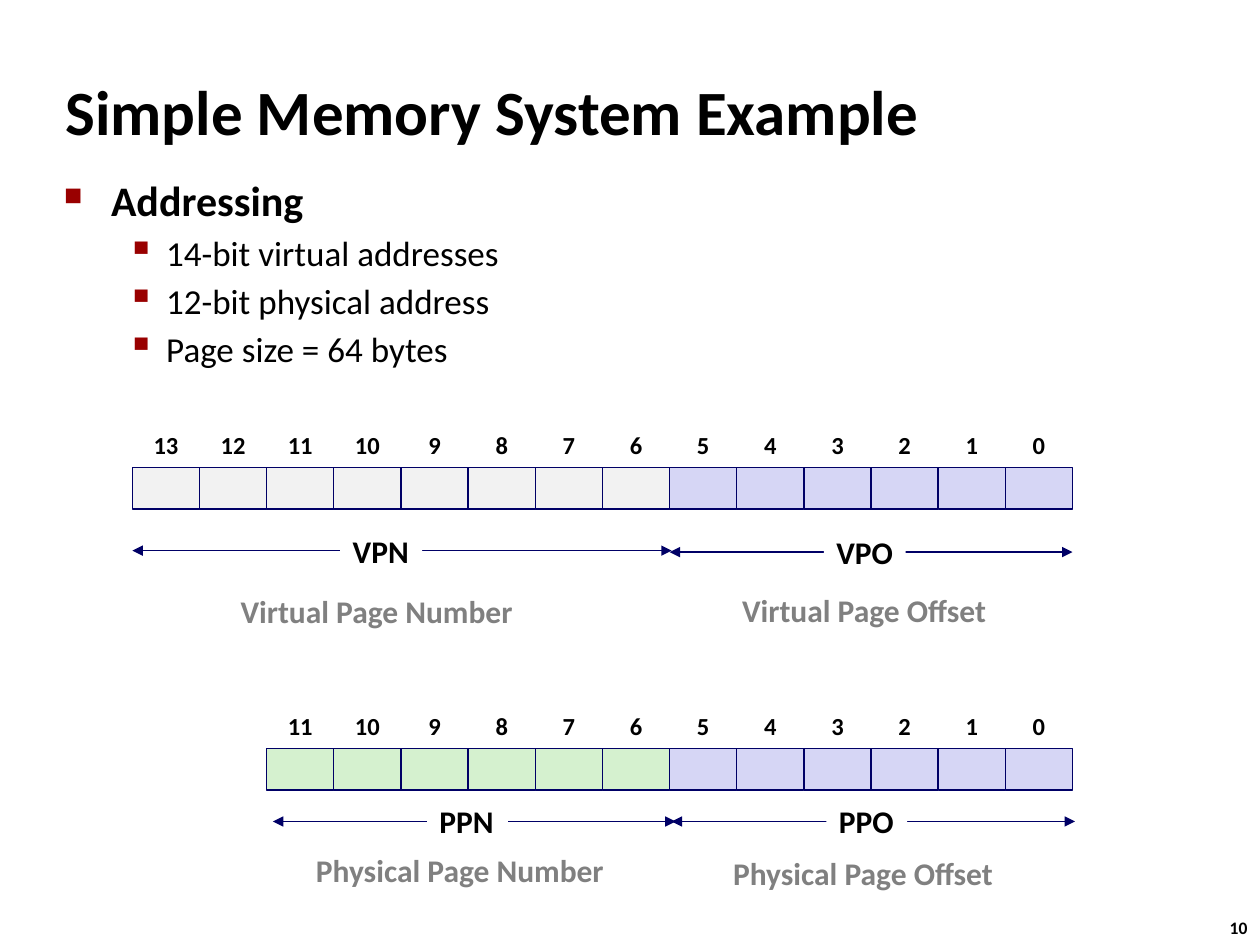
from dataclasses import dataclass

from lxml.etree import SubElement
from pptx import Presentation
from pptx.dml.color import RGBColor
from pptx.enum.shapes import MSO_CONNECTOR, MSO_SHAPE
from pptx.enum.text import MSO_ANCHOR, PP_ALIGN
from pptx.oxml.ns import qn
from pptx.util import Cm, Pt

FONT = "Calibri"
BLACK = RGBColor(0x00, 0x00, 0x00)
WHITE = RGBColor(0xFF, 0xFF, 0xFF)
GRAY = RGBColor(0x80, 0x80, 0x80)
NAVY = RGBColor(0x00, 0x00, 0x66)
RED = RGBColor(0x99, 0x00, 0x00)
PALE_GRAY = RGBColor(0xF2, 0xF2, 0xF2)
PALE_GREEN = RGBColor(0xD5, 0xF1, 0xCF)
PALE_BLUE = RGBColor(0xD6, 0xD6, 0xF5)

OFFSET_BITS = 6
RIGHT = Cm(21.62)
CELL_W = Cm(18.95) // 14
CELL_H = Cm(0.84)
LABEL_H = Cm(0.91)
TIGHT = 0.88


@dataclass
class Address:
    bits: int
    top: float
    page_color: RGBColor


@dataclass
class Field:
    """A double arrow with its short name, and the full name below; lengths in cm."""
    name: str
    left: float
    right: float
    y: float
    name_left: float
    name_width: float
    full_name: str
    full_left: float
    full_top: float
    full_width: float


@dataclass
class Bullet:
    text: str
    level: int
    size: int
    char: str
    char_pct: int
    indent: float
    hanging: float


ADDRESSES = [
    Address(14, 9.42, PALE_GRAY),
    Address(12, 15.09, PALE_GREEN),
]
FIELDS = [
    Field("VPO", 13.5, 21.62, 11.13, 16.61, 1.65, "Virtual Page Offset", 14.71, 11.89, 5.49),
    Field("PPO", 13.54, 21.67, 16.56, 16.66, 1.63, "Physical Page Offset", 14.53, 17.2, 5.82),
    Field("PPN", 5.5, 13.62, 16.56, 8.61, 1.63, "Physical Page Number", 6.12, 17.12, 6.35),
    Field("VPN", 2.67, 13.54, 11.1, 6.86, 1.65, "Virtual Page Number", 4.6, 11.91, 6.05),
]
DETAILS = ["14-bit virtual addresses", "12-bit physical address", "Page size = 64 bytes"]
BULLETS = [Bullet("Addressing", 0, 24, "■", 60, 0.95, 0.95)] + [
    Bullet(text, 1, 20, "▪", 110, 2.06, 0.79) for text in DETAILS
]


def style(p, size: float, bold: bool = True, color: RGBColor = BLACK) -> None:
    for r in p.runs:
        r.font.name = FONT
        r.font.size = Pt(size)
        r.font.bold = bold
        r.font.color.rgb = color


def add_text(s, text: str, left: int, top: int, width: int, height: int, size: float,
             color: RGBColor = BLACK, align=PP_ALIGN.LEFT, anchor=MSO_ANCHOR.TOP,
             spacing: float = 1.0):
    sp = s.shapes.add_textbox(left, top, width, height)
    tf = sp.text_frame
    tf.word_wrap = False
    tf.vertical_anchor = anchor
    tf.text = text
    p = tf.paragraphs[0]
    p.alignment = align
    p.line_spacing = spacing
    style(p, size, color=color)
    return sp


def add_bullets(s, bullets: list[Bullet]) -> None:
    tf = s.shapes.add_textbox(Cm(1.04), Cm(3.4), Cm(23.09), Cm(4.39)).text_frame
    tf.word_wrap = True
    for i, bullet in enumerate(bullets):
        p = tf.add_paragraph() if i else tf.paragraphs[0]
        p.text = bullet.text
        p.level = bullet.level
        pPr = p._p.get_or_add_pPr()
        pPr.set("marL", str(Cm(bullet.indent)))
        pPr.set("indent", str(-Cm(bullet.hanging)))
        SubElement(SubElement(pPr, qn("a:buClr")), qn("a:srgbClr"), val=str(RED))
        SubElement(pPr, qn("a:buSzPct"), val=str(bullet.char_pct * 1000))
        SubElement(pPr, qn("a:buChar"), char=bullet.char)
        if i:
            p.space_before = Pt(3.5)
        style(p, bullet.size, bold=bullet.level == 0)


def add_address(s, address: Address) -> None:
    """Draw one row of numbered bits, highest bit on the left."""
    top = Cm(address.top)
    for bit in reversed(range(address.bits)):
        left = RIGHT - (bit + 1) * CELL_W
        sp = s.shapes.add_shape(MSO_SHAPE.RECTANGLE, left, top, CELL_W, CELL_H)
        sp.shadow.inherit = False
        sp.fill.solid()
        sp.fill.fore_color.rgb = PALE_BLUE if bit < OFFSET_BITS else address.page_color
        sp.line.color.rgb = NAVY
        sp.line.width = Pt(0.75)
        add_text(s, str(bit), left, top - CELL_H, CELL_W, CELL_H, 14,
                 align=PP_ALIGN.CENTER, anchor=MSO_ANCHOR.MIDDLE, spacing=TIGHT)


def add_double_arrow(s, left: int, right: int, y: int) -> None:
    line = s.shapes.add_connector(MSO_CONNECTOR.STRAIGHT, left, y, right, y)
    line.line.color.rgb = NAVY
    line.line.width = Pt(0.75)
    ln = line.line._get_or_add_ln()
    for end in ("a:headEnd", "a:tailEnd"):
        SubElement(ln, qn(end), type="triangle")
    SubElement(line._element.spPr, qn("a:effectLst"))


def add_field(s, field: Field) -> None:
    y = Cm(field.y)
    add_double_arrow(s, Cm(field.left), Cm(field.right), y)
    sp = add_text(s, field.name, Cm(field.name_left), y - Cm(0.41), Cm(field.name_width),
                  LABEL_H, 18, spacing=TIGHT)
    sp.fill.solid()
    sp.fill.fore_color.rgb = WHITE
    add_text(s, field.full_name, Cm(field.full_left), Cm(field.full_top),
             Cm(field.full_width), LABEL_H, 18, color=GRAY, spacing=TIGHT)


def main() -> None:
    prs = Presentation()
    prs.slide_width, prs.slide_height = Cm(25.4), Cm(19.05)
    s = prs.slides.add_slide(prs.slide_layouts[6])
    add_text(s, "10", Cm(24.54), Cm(18.36), Cm(0.94), Cm(0.69), 10)
    add_text(s, "Simple Memory System Example", Cm(1.07), Cm(1.42), Cm(20.29), Cm(1.6), 36,
             anchor=MSO_ANCHOR.MIDDLE)
    add_bullets(s, BULLETS)
    for address in ADDRESSES:
        add_address(s, address)
    for field in FIELDS:
        add_field(s, field)
    prs.save("out.pptx")


if __name__ == "__main__":
    main()
